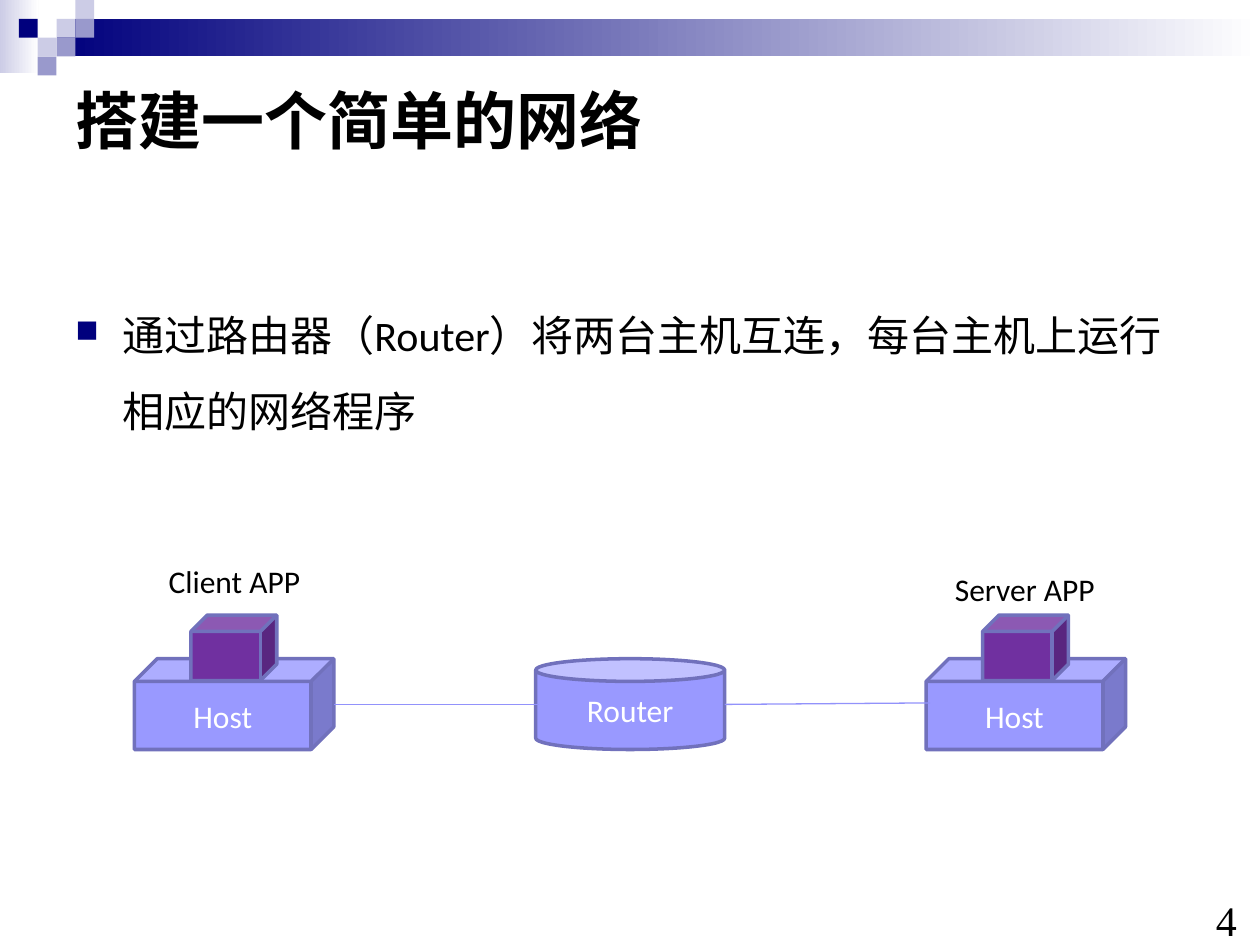
from lxml import etree
from pptx import Presentation
from pptx.dml.color import RGBColor
from pptx.enum import shapes, text
from pptx.oxml.ns import qn
from pptx.util import Cm, Pt

COLORS = {
    "navy": "00007D", "pale": "CCCCE6", "mid": "9999CC", "white": "FFFFFF",
    "black": "000000", "device": "9999FF", "edge": "7171BC",
    "link": "9292FB", "app": "7030A0",
}
TITLE = "搭建一个简单的网络"
BODY = "通过路由器（Router）将两台主机互连，每台主机上运行相应的网络程序"
PAGE_NUMBER = "4"

# Header: gradient bands (left, top, width, height, start colour), then grid squares
BANDS = [(0, 0, 0.78, 1.47, "pale"), (1.14, 0.38, 24.26, 0.76, "navy")]
SQUARE = 0.38
SQUARES = [  # column, row, colour
    (3, 1, "pale"), (4, 0, "pale"), (4, 1, "mid"), (2, 2, "pale"),
    (1, 1, "navy"), (3, 2, "mid"), (2, 3, "mid"),
]

# Network diagram, in centimetres
DEVICE_TOP, DEVICE_HEIGHT = 13.28, 1.83
HOST_WIDTH, ROUTER_WIDTH = 4.02, 3.81
APP_OFFSET, APP_TOP, APP_WIDTH, APP_HEIGHT = 1.14, 12.4, 1.73, 1.32
ROUTER_LEFT = 10.8
HOSTS = [  # host left, application, label left, label top, label width
    (2.71, "Client APP", 3.15, 11.2, 3.58),
    (18.67, "Server APP", 19.0, 11.36, 3.76),
]
LINKS = [((6.73, 14.2), (10.87, 14.2)), ((14.61, 14.2), (18.75, 14.17))]


def rgb(name):
    return RGBColor.from_string(COLORS[name])


def write(shape, words, size, color="black", font="Calibri", bold=False):
    shape.text_frame.text = words
    para = shape.text_frame.paragraphs[0]
    span = para.runs[0].font
    span.name, span.size, span.bold = font, Pt(size), bold
    span.color.rgb = rgb(color)
    return para


def add_shape(page, kind, left, top, width, height, fill, edge=None):
    shape = page.shapes.add_shape(kind, Cm(left), Cm(top), Cm(width), Cm(height))
    shape.shadow.inherit = False
    shape.fill.solid()
    shape.fill.fore_color.rgb = rgb(fill)
    if edge:
        shape.line.color.rgb = rgb(edge)
        shape.line.width = Pt(2)
    else:
        shape.line.fill.background()
    return shape


def add_text(page, left, top, width, height):
    return page.shapes.add_textbox(Cm(left), Cm(top), Cm(width), Cm(height))


def add_header(page):
    rectangle = shapes.MSO_SHAPE.RECTANGLE
    for left, top, width, height, start in BANDS:
        band = add_shape(page, rectangle, left, top, width, height, start)
        band.fill.gradient()
        band.fill.gradient_angle = 0
        for stop, color in zip(band.fill.gradient_stops, (start, "white")):
            stop.color.rgb = rgb(color)
    for column, row, color in SQUARES:
        add_shape(page, rectangle, column * SQUARE, row * SQUARE, SQUARE, SQUARE, color)


def add_title(page):
    title = page.shapes.title
    title.left, title.top, title.width, title.height = Cm(1.27), Cm(1.27), Cm(22.86), Cm(2.26)
    para = write(title, TITLE, 36, bold=True)
    para.alignment = text.PP_ALIGN.LEFT
    title.text_frame.vertical_anchor = text.MSO_ANCHOR.MIDDLE
    title.text_frame.auto_size = text.MSO_AUTO_SIZE.NONE


def add_body(page):
    box = add_text(page, 1.27, 5.61, 22.86, 3.4)
    box.text_frame.word_wrap = True
    para = write(box, BODY, 24)
    para.line_spacing = 1.5
    properties = para._p.get_or_add_pPr()
    properties.set("marL", str(Cm(0.95)))
    properties.set("indent", str(-Cm(0.95)))
    bullet_color = etree.SubElement(properties, qn("a:buClr"))
    etree.SubElement(bullet_color, qn("a:srgbClr"), val=COLORS["navy"])
    etree.SubElement(properties, qn("a:buSzPct"), val="75000")
    etree.SubElement(properties, qn("a:buChar"), char="■")


def add_device(page, kind, left, width, label):
    device = add_shape(page, kind, left, DEVICE_TOP, width, DEVICE_HEIGHT, "device", "edge")
    device.adjustments[0] = 0.25
    write(device, label, 18, "white").alignment = text.PP_ALIGN.CENTER
    device.text_frame.vertical_anchor = text.MSO_ANCHOR.MIDDLE


def add_link(page, start, end):
    link = page.shapes.add_connector(
        shapes.MSO_CONNECTOR.STRAIGHT, *(Cm(value) for value in start + end))
    link.line.color.rgb = rgb("link")
    link.line.width = Pt(0.75)
    etree.SubElement(link._element.spPr, qn("a:effectLst"))


def add_network(page):
    cube = shapes.MSO_SHAPE.CUBE
    add_device(page, shapes.MSO_SHAPE.CAN, ROUTER_LEFT, ROUTER_WIDTH, "Router")
    for left, *_ in HOSTS:
        add_device(page, cube, left, HOST_WIDTH, "Host")
    for start, end in LINKS:
        add_link(page, start, end)
    for left, label, label_left, label_top, label_width in HOSTS:
        app = add_shape(page, cube, left + APP_OFFSET, APP_TOP,
                        APP_WIDTH, APP_HEIGHT, "app", "edge")
        app.adjustments[0] = 0.25
        box = add_text(page, label_left, label_top, label_width, 1.02)
        box.text_frame.word_wrap = False
        write(box, label, 18)


def add_page_number(page):
    box = add_text(page, 24.51, 18.62, 0.58, 0.43)
    frame = box.text_frame
    frame.margin_left = frame.margin_right = frame.margin_top = frame.margin_bottom = 0
    frame.word_wrap = True
    frame.vertical_anchor = text.MSO_ANCHOR.BOTTOM
    write(box, PAGE_NUMBER, 24, font="Times New Roman")


def main():
    deck = Presentation()
    deck.slide_width, deck.slide_height = Cm(25.4), Cm(19.05)
    page = deck.slides.add_slide(deck.slide_layouts[5])
    add_header(page)
    add_title(page)
    add_network(page)
    add_body(page)
    add_page_number(page)
    deck.save("out.pptx")


if __name__ == "__main__":
    main()
